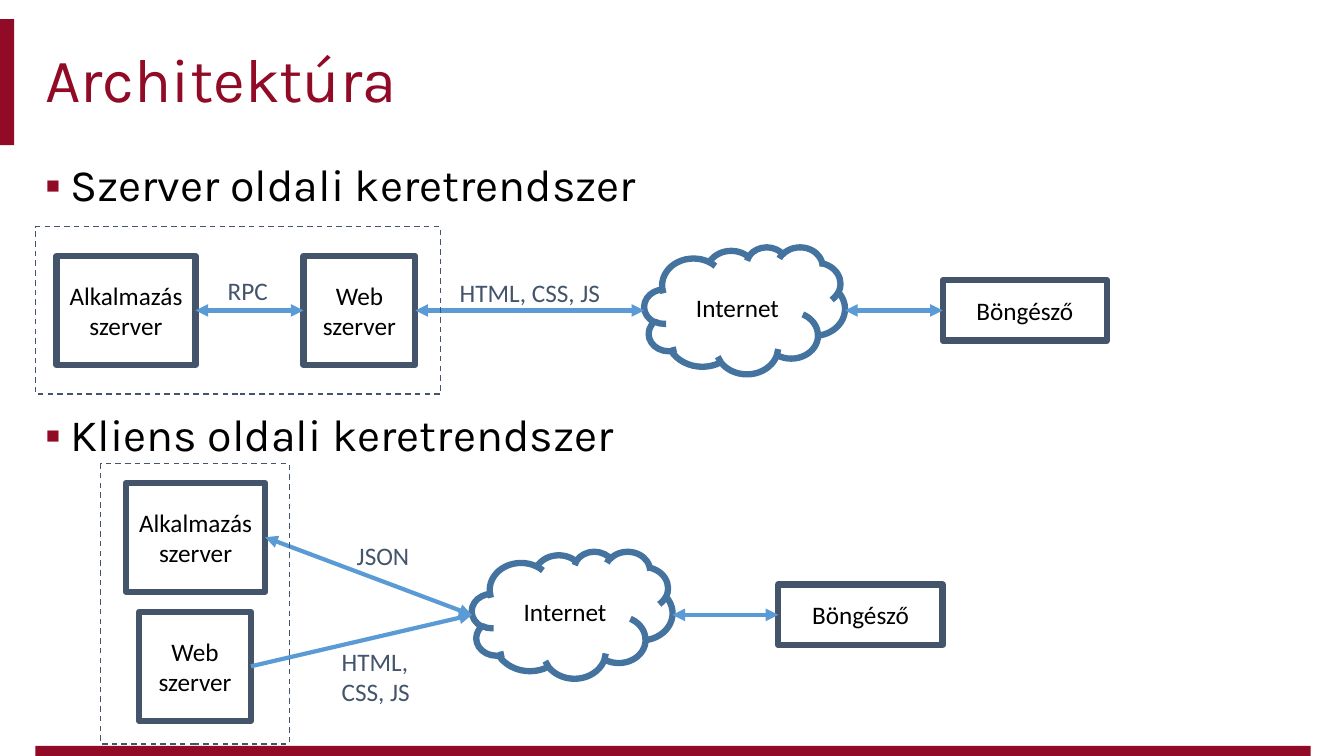
from lxml import etree
from pptx import Presentation, util as u
from pptx.dml.color import RGBColor
from pptx.enum import dml, shapes, text
from pptx.oxml.ns import qn

CELL = u.Inches(1)
COLS, ROWS = 13.33, 7.5
LEFT, WIDTH = 0.35, 12.65
RED, SLATE, BLUE, CLOUD, BLACK = "910A26", "44546A", "5B9BD5", "43739E", "000000"
SIZES = {"app": (1.38, 1.08), "web": (1.11, 1.08), "net": (1.99, 1.26), "browser": (1.63, 0.6)}
NAMES = {"app": "Alkalmazás szerver", "web": "Web szerver", "net": "Internet", "browser": "Böngésző"}


def grid(*cells):
    """Turn grid columns and rows into lengths."""
    return [round(c * CELL) for c in cells]


def color(value):
    """Return the colour of a hex string."""
    return RGBColor.from_string(value)


def set_all(obj, values):
    """Set every attribute named in a dict."""
    for key, value in values.items():
        setattr(obj, key, value)


def write(p, words, size, font, hue, **fmt):
    """Add one formatted run to a paragraph."""
    set_all(p, fmt)
    r = p.add_run()
    r.text = words
    set_all(r.font, {"size": u.Pt(size), "name": font})
    r.font.color.rgb = color(hue)


def add_shape(s, kind, box, fill=None, line=None, width=0, dash=None):
    """Add a preset shape with plain fill and line."""
    sp = s.shapes.add_shape(kind, *grid(*box))
    sp.shadow.inherit = False
    if fill:
        sp.fill.solid()
        sp.fill.fore_color.rgb = color(fill)
    else:
        sp.fill.background()
    if line:
        sp.line.color.rgb = color(line)
        set_all(sp.line, {"width": u.Pt(width), "dash_style": dash})
    else:
        sp.line.fill.background()
    return sp


def add_node(s, role, x, axis):
    """Add a labelled node centred on a horizontal axis."""
    w, h = SIZES[role]
    is_net = role == "net"
    kind = shapes.MSO_SHAPE.CLOUD if is_net else shapes.MSO_SHAPE.RECTANGLE
    sp = add_shape(s, kind, (x, axis - h / 2, w, h), line=CLOUD if is_net else SLATE, width=4.5)
    tf = sp.text_frame
    set_all(tf, {"word_wrap": True, "vertical_anchor": text.MSO_ANCHOR.MIDDLE})
    write(tf.paragraphs[0], NAMES[role], 18, "Calibri", BLACK, alignment=text.PP_ALIGN.CENTER)
    return sp


def add_arrow(s, start, end, both=True):
    """Join the right side of one node to the left side of the next."""
    cx = s.shapes.add_connector(
        shapes.MSO_CONNECTOR.STRAIGHT,
        start.left + start.width, start.top + start.height // 2,
        end.left, end.top + end.height // 2)
    cx.line.color.rgb = color(BLUE)
    cx.line.width = u.Pt(3)
    ln = cx.line._get_or_add_ln()
    for tag in ("a:headEnd", "a:tailEnd") if both else ("a:tailEnd",):
        etree.SubElement(ln, qn(tag), type="triangle")
    etree.SubElement(cx._element.spPr, qn("a:effectLst"))


def add_label(s, words, *box):
    """Add a caption beside an arrow."""
    tf = s.shapes.add_textbox(*grid(*box)).text_frame
    tf.word_wrap = True
    write(tf.paragraphs[0], words, 18, "Calibri", SLATE)


def add_frame(s, *box):
    """Add a dashed frame around the servers."""
    add_shape(s, shapes.MSO_SHAPE.RECTANGLE, box, line=SLATE, width=1, dash=dml.MSO_LINE.DASH)


def add_title(s, words):
    """Place and format the title placeholder."""
    sp = s.shapes.title
    set_all(sp, dict(zip(("left", "top", "width", "height"), grid(LEFT, 0.19, WIDTH, 1.25))))
    tf = sp.text_frame
    set_all(tf, {"vertical_anchor": text.MSO_ANCHOR.MIDDLE, "word_wrap": True})
    write(tf.paragraphs[0], words, 44, "Karla", RED,
          alignment=text.PP_ALIGN.LEFT, line_spacing=0.9)


def add_bullets(s, items):
    """Add bulleted headings, each with its own space before."""
    tf = s.shapes.add_textbox(*grid(LEFT, 1.57, WIDTH, 5.62)).text_frame
    tf.word_wrap = True
    for i, (words, before) in enumerate(items):
        p = tf.add_paragraph() if i else tf.paragraphs[0]
        write(p, words, 32, "Karla", BLACK, line_spacing=0.9, space_before=u.Pt(before))
        pr = p._p.get_or_add_pPr()
        pr.set("marL", str(CELL // 4))
        pr.set("indent", str(-CELL // 4))
        clr = etree.SubElement(pr, qn("a:buClr"))
        etree.SubElement(clr, qn("a:srgbClr"), val=RED)
        etree.SubElement(pr, qn("a:buFont"), typeface="Arial")
        etree.SubElement(pr, qn("a:buChar"), char="▪")


def server_side(s, axis):
    """Draw the chain of the server-side framework."""
    places = (("app", 0.56), ("web", 3.01), ("net", 6.39), ("browser", 9.35))
    nodes = [add_node(s, role, x, axis) for role, x in places]
    for start, end in zip(nodes, nodes[1:]):
        add_arrow(s, start, end)
    add_label(s, "RPC", 2.16, 2.68, 1.03, 0.4)
    add_label(s, "HTML, CSS, JS", 4.46, 2.7, 1.65, 0.4)
    add_frame(s, LEFT, 2.25, 4.02, 1.66)


def client_side(s, axis):
    """Draw the branches of the client-side framework."""
    app = add_node(s, "app", 1.25, 5.33)
    web = add_node(s, "web", 1.38, 6.61)
    net = add_node(s, "net", 4.68, axis)
    browser = add_node(s, "browser", 7.72, axis)
    add_arrow(s, web, net, both=False)
    add_arrow(s, app, net)
    add_arrow(s, net, browser)
    add_label(s, "JSON", 3.44, 5.31, 1.03, 0.4)
    add_label(s, "HTML, CSS, JS", 3.29, 6.36, 1.03, 0.71)
    add_frame(s, 1, 4.6, 1.87, 2.78)


def main():
    """Build and save the slide."""
    prs = Presentation()
    prs.slide_width, prs.slide_height = grid(COLS, ROWS)
    s = prs.slides.add_slide(prs.slide_layouts[5])
    for bar in ((LEFT, 7.4, WIDTH, 0.1), (0, 0.19, 0.14, 1.25)):
        add_shape(s, shapes.MSO_SHAPE.RECTANGLE, bar, fill=RED)
    add_title(s, "Architektúra")
    add_bullets(s, (("Szerver oldali keretrendszer", 10), ("Kliens oldali keretrendszer", 144)))
    server_side(s, 3.08)
    client_side(s, 6.1)
    prs.save("out.pptx")


main()
